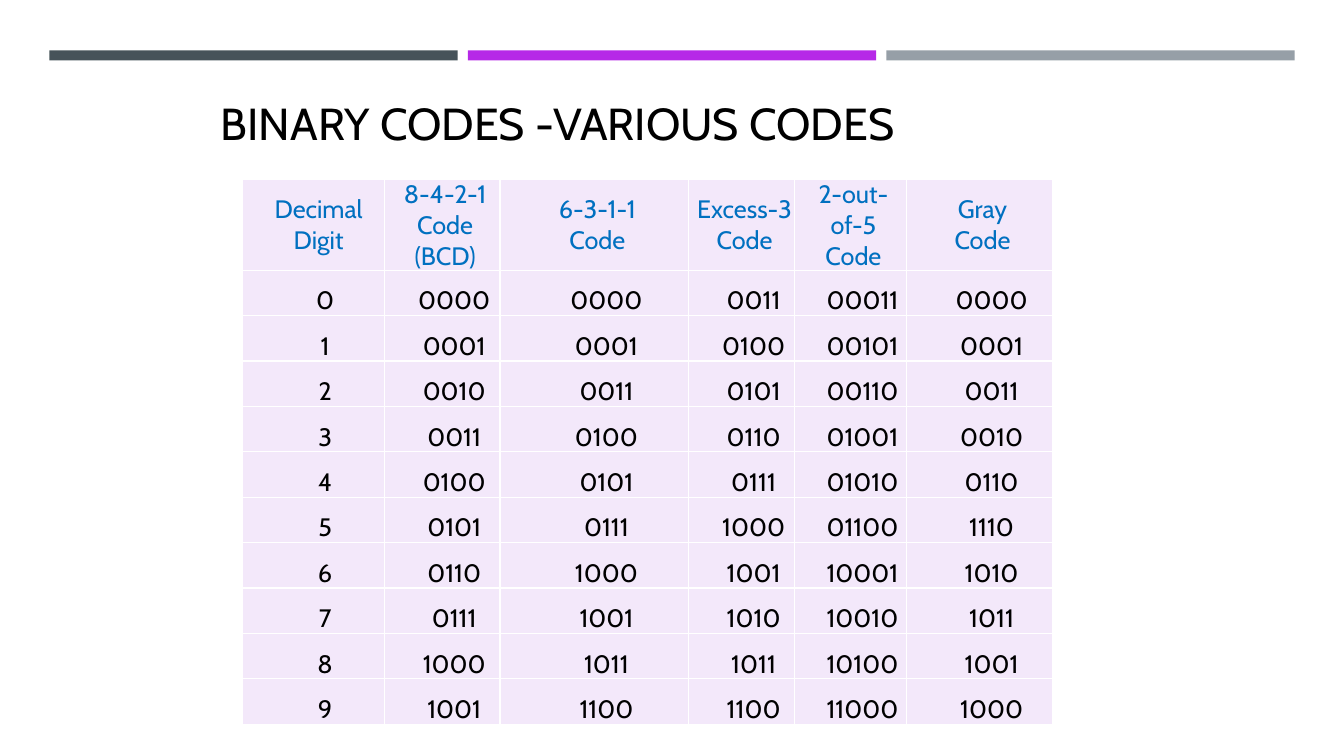
from lxml.etree import SubElement as Sub
from pptx import Presentation
from pptx.dml.color import RGBColor as RGB
from pptx.enum.shapes import MSO_SHAPE as Kind
from pptx.enum.text import MSO_ANCHOR as Anchor, PP_ALIGN as Align
from pptx.oxml.ns import qn
from pptx.util import Inches, Pt

SLATE = RGB(0x46, 0x53, 0x59)
PURPLE = RGB(0xB6, 0x29, 0xE7)
GRAY = RGB(0x96, 0x9F, 0xA7)
LILAC = RGB(0xF3, 0xE8, 0xFA)
BLUE = RGB(0x00, 0x70, 0xC0)
BLACK = RGB(0x00, 0x00, 0x00)
WHITE = RGB(0xFF, 0xFF, 0xFF)
FONT = "Cabin"

heads = ["Decimal\nDigit", "8-4-2-1\nCode\n(BCD)", "6-3-1-1\nCode",
         "Excess-3\nCode", "2-out-of-5\nCode", "Gray\nCode"]
codes = """0 0000 0000 0011 00011 0000
1 0001 0001 0100 00101 0001
2 0010 0011 0101 00110 0011
3 0011 0100 0110 01001 0010
4 0100 0101 0111 01010 0110
5 0101 0111 1000 01100 1110
6 0110 1000 1001 10001 1010
7 0111 1001 1010 10010 1011
8 1000 1011 1011 10100 1001
9 1001 1100 1100 11000 1000"""
rows = [heads] + [line.split() for line in codes.splitlines()]
widths = [1.41, 1.15, 1.87, 1.05, 1.11, 1.45]


def style(para, size, color):
    for run in para.runs:
        run.font.size = Pt(size)
        run.font.name = FONT
        run.font.color.rgb = color


def border(cell):
    props = cell._tc.get_or_add_tcPr()
    for side in ("lnL", "lnR", "lnT", "lnB"):
        line = Sub(props, qn("a:" + side), w=str(Pt(1)))
        Sub(Sub(line, qn("a:solidFill")), qn("a:srgbClr"), val=str(WHITE))


deck = Presentation()
deck.slide_width = Inches(13.33)
deck.slide_height = Inches(7.5)
slide = deck.slides.add_slide(deck.slide_layouts[6])

for i, color in enumerate([SLATE, PURPLE, GRAY]):
    bar = slide.shapes.add_shape(Kind.RECTANGLE, Inches(0.49 + 4.15 * i),
                                 Inches(0.5), Inches(4.05), Inches(0.1))
    bar.shadow.inherit = False
    bar.fill.solid()
    bar.fill.fore_color.rgb = color
    bar.line.fill.background()

title = slide.shapes.add_textbox(Inches(2.09), Inches(0.7),
                                 Inches(9.75), Inches(0.83))
frame = title.text_frame
frame.word_wrap = True
frame.vertical_anchor = Anchor.BOTTOM
frame.text = "BINARY CODES -VARIOUS CODES"
style(frame.paragraphs[0], 32, BLACK)

holder = slide.shapes.add_table(len(rows), len(widths), Inches(2.4),
                                Inches(1.78), Inches(8.04), Inches(5.4))
table = holder.table
table.first_row = False
table.horz_banding = False
for col, width in zip(table.columns, widths):
    col.width = Inches(width)

for r, row in enumerate(rows):
    table.rows[r].height = Inches(0.36 if r else 0.81)
    for c, text in enumerate(row):
        cell = table.cell(r, c)
        border(cell)
        cell.fill.solid()
        cell.fill.fore_color.rgb = LILAC
        cell.vertical_anchor = Anchor.MIDDLE
        cell.margin_left = cell.margin_right = 0
        cell.margin_top = cell.margin_bottom = 0
        cell.text_frame.text = text
        indent = 0.24 if r else 0.06 if c else 0.11
        for para in cell.text_frame.paragraphs:
            para.alignment = Align.CENTER
            para._p.get_or_add_pPr().set("marL", str(Inches(indent)))
            if r:
                para.line_spacing = 1.5
            style(para, 18, BLACK if r else BLUE)
holder.height = Inches(5.4)

deck.save("out.pptx")
